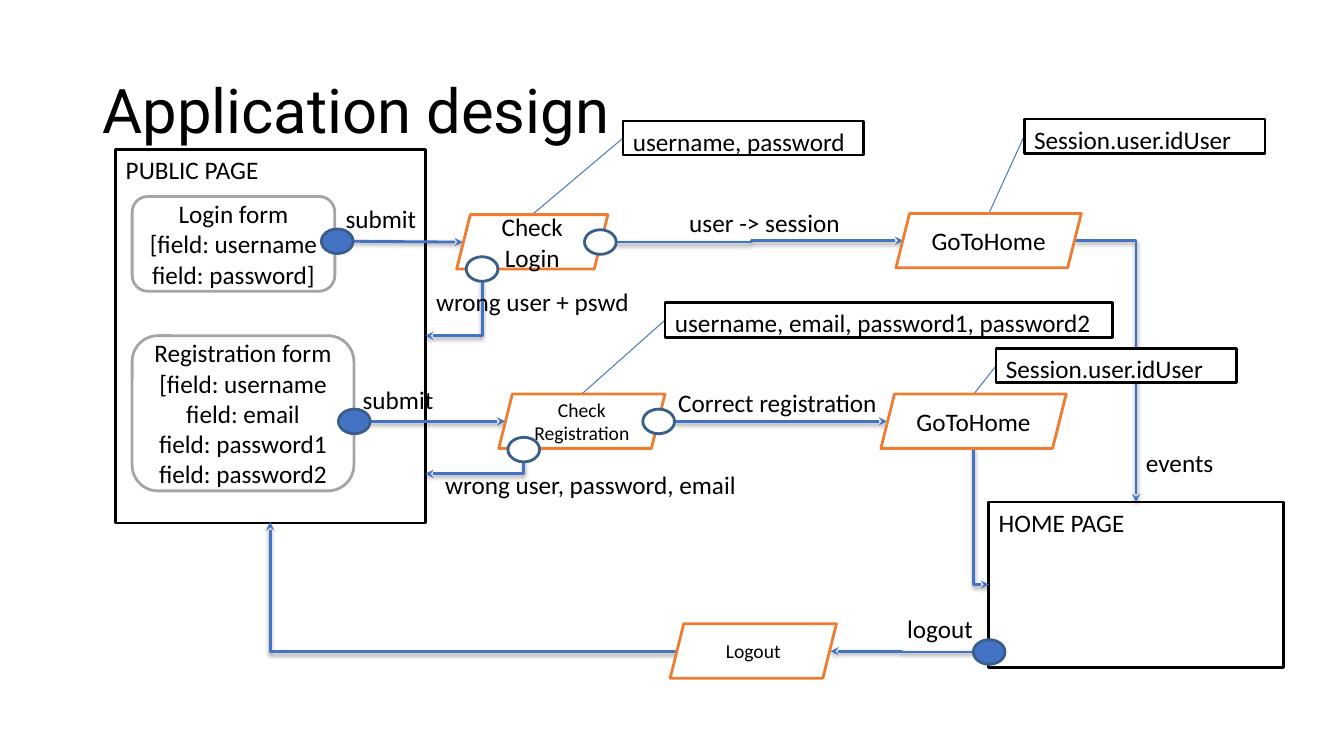
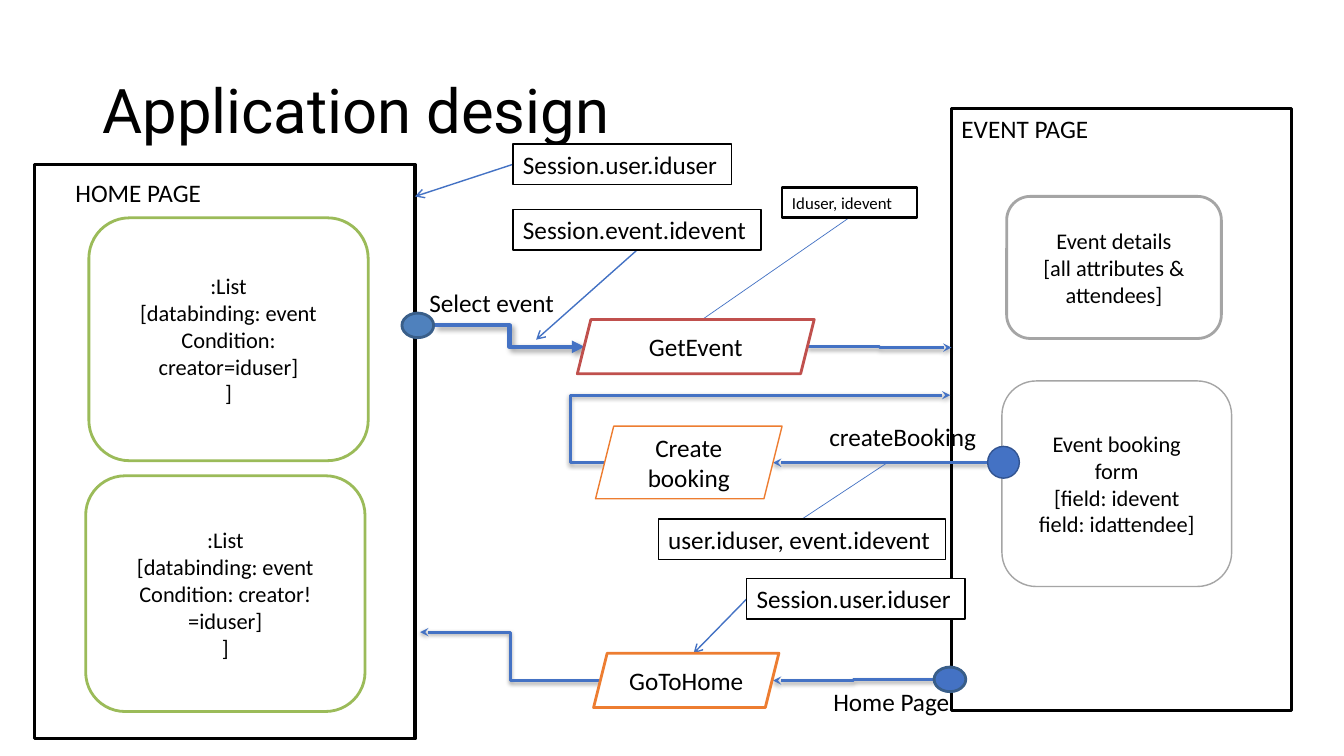
"""Build the two application design diagrams."""
from dataclasses import dataclass

from lxml import etree
from pptx import Presentation
from pptx.dml.color import RGBColor
from pptx.enum.shapes import MSO_CONNECTOR, MSO_SHAPE
from pptx.enum.text import MSO_ANCHOR, PP_ALIGN
from pptx.oxml.ns import qn
from pptx.util import Cm, Pt

RECT = MSO_SHAPE.RECTANGLE
ROUND = MSO_SHAPE.ROUNDED_RECTANGLE
SLANTED = MSO_SHAPE.PARALLELOGRAM
OVAL = MSO_SHAPE.OVAL
STRAIGHT = MSO_CONNECTOR.STRAIGHT
ELBOW = MSO_CONNECTOR.ELBOW
TOP = MSO_ANCHOR.TOP
MIDDLE = MSO_ANCHOR.MIDDLE
LEFT = PP_ALIGN.LEFT
CENTER = PP_ALIGN.CENTER


@dataclass(frozen=True)
class Theme:
    """Colours, fonts and type sizes of the deck."""
    ink: str = "000000"
    paper: str = "FFFFFF"
    blue: str = "4472C4"
    soft_blue: str = "4F81BD"
    pale_blue: str = "4A7DBA"
    port_edge: str = "395E89"
    dark_blue: str = "325491"
    orange: str = "ED7D31"
    red: str = "C0504D"
    green: str = "9BBB59"
    grey: str = "A5A5A5"
    title_font: str = "Roboto"
    body_font: str = "Calibri"
    title: int = 44
    body: int = 18
    card: int = 16
    small: int = 14
    tiny: int = 12
    flow_shadow: tuple = (38, 3.1, 1.6, 90)
    strong_shadow: tuple = (40, 4, 3, 45)


T = Theme()


def rgb(value):
    """Return a colour object for a hex value."""
    return RGBColor.from_string(value)


def write_text(tf, text, *, size=T.body, font=T.body_font, align=LEFT,
               anchor=TOP, spacing=None):
    """Fill a text frame with uniformly formatted text."""
    tf.word_wrap = True
    tf.vertical_anchor = anchor
    tf.text = text
    for p in tf.paragraphs:
        p.alignment = align
        if spacing:
            p.line_spacing = spacing
        for r in p.runs:
            r.font.size = Pt(size)
            r.font.name = font
            r.font.color.rgb = rgb(T.ink)


def text_box(s, text, at, **fmt):
    """Add a text box."""
    sp = s.shapes.add_textbox(*map(Cm, at))
    write_text(sp.text_frame, text, **fmt)


def box(s, kind, at, text="", *, fill=T.paper, line=T.ink, weight=2, **fmt):
    """Add an outlined preset shape."""
    sp = s.shapes.add_shape(kind, *map(Cm, at))
    sp.shadow.inherit = False
    if fill:
        sp.fill.solid()
        sp.fill.fore_color.rgb = rgb(fill)
    else:
        sp.fill.background()
    sp.line.color.rgb = rgb(line)
    sp.line.width = Pt(weight)
    if text:
        write_text(sp.text_frame, text, **fmt)


def card(s, text, at, *, line=T.grey, weight=2, size=T.card):
    """Add a rounded form or list inside a page."""
    box(s, ROUND, at, text, line=line, weight=weight, size=size,
        align=CENTER, anchor=MIDDLE)


def action(s, text, at, *, height=1.37, line=T.orange, weight=2, size=T.body):
    """Add a slanted action step."""
    box(s, SLANTED, (*at, height), text, line=line, weight=weight, size=size,
        align=CENTER, anchor=MIDDLE)


def port(s, x, y, *, height=0.62, width=0.8, **look):
    """Add an event port centred on a point."""
    look = {"fill": T.blue, "line": T.port_edge, **look}
    box(s, OVAL, (x - width / 2, y - height / 2, width, height), **look)


def label(s, text, x, y, width):
    """Add a flow label."""
    text_box(s, text, (x, y, width, 1))


def connect(s, kind, start, end, *, color=T.blue, weight=2, tail=None,
            shadow=None):
    """Add a connector with an optional arrowhead and shadow."""
    c = s.shapes.add_connector(kind, *map(Cm, (*start, *end)))
    c.line.color.rgb = rgb(color)
    c.line.width = Pt(weight)
    if tail:
        ln = c.line._get_or_add_ln()
        etree.SubElement(ln, qn("a:tailEnd"), type=tail)
    effects = etree.SubElement(c._element.spPr, qn("a:effectLst"))
    if shadow:
        alpha, blur, dist, angle = shadow
        outer = etree.SubElement(
            effects, qn("a:outerShdw"), blurRad=str(Pt(blur)),
            dist=str(Pt(dist)), dir=str(angle * 60000), rotWithShape="0")
        clr = etree.SubElement(outer, qn("a:srgbClr"), val=T.ink)
        etree.SubElement(clr, qn("a:alpha"), val=str(alpha * 1000))
    return c


def flow(s, start, end, *, kind=ELBOW, bend=0.5, weight=2, tail="stealth",
         shadow=T.flow_shadow):
    """Add a flow arrow, straight or bent midway."""
    c = connect(s, kind, start, end, weight=weight, tail=tail, shadow=shadow)
    if bend != 0.5:
        guides = c._element.spPr.find(qn("a:prstGeom")).get_or_add_avLst()
        etree.SubElement(guides, qn("a:gd"), name="adj1",
                         fmla=f"val {round(bend * 100000)}")


def corner(s, start, end, down_first=False):
    """Add a flow arrow with one right-angled turn."""
    (x1, y1), (x2, y2) = start, end
    if down_first:
        mx, my = (x1 + x2) / 2, (y1 + y2) / 2
        hx, hy = (y2 - y1) / 2, (x1 - x2) / 2
        start, end = (mx - hx, my - hy), (mx + hx, my + hy)
    c = connect(s, ELBOW, start, end, tail="stealth", shadow=T.flow_shadow)
    sp_pr = c._element.spPr
    sp_pr.find(qn("a:prstGeom")).set("prst", "bentConnector2")
    if down_first:
        sp_pr.find(qn("a:xfrm")).set("rot", "5400000")


def note(s, text, at, target, *, side="left", weight=1, size=T.body, **line):
    """Add a parameter note and the line from one side to its target."""
    x, y, w, h = at
    start = {"left": (x, y + h / 2), "top": (x + w / 2, y),
             "bottom": (x + w / 2, y + h)}[side]
    connect(s, STRAIGHT, start, target, **line)
    box(s, RECT, at, text, weight=weight, size=size)


def new_slide(prs):
    """Add a blank slide with the shared title."""
    s = prs.slides.add_slide(prs.slide_layouts[6])
    text_box(s, "Application design", (2.33, 1.01, 29.21, 3.68),
             size=T.title, font=T.title_font, anchor=MIDDLE, spacing=0.9)
    return s


def login_slide(prs):
    """Draw login, registration and logout."""
    s = new_slide(prs)
    box(s, RECT, (2.92, 3.76, 7.8, 9.42), "PUBLIC PAGE")
    box(s, RECT, (24.92, 12.65, 7.42, 4.17), "HOME PAGE")
    card(s, "Login form\v[field: username\nfield: password]",
         (3.33, 4.95, 5.11, 2.39), size=T.body)
    card(s, "Registration form\v[field: username\nfield: email\n"
         "field: password1\nfield: password2",
         (3.33, 8.46, 5.59, 3.91), size=T.body)

    flow(s, (8.9, 6.08), (11.66, 6.1), kind=STRAIGHT)
    flow(s, (15.13, 6.1), (22.76, 6.07))
    flow(s, (9.32, 10.62), (12.73, 10.62), kind=STRAIGHT)
    flow(s, (16.99, 10.62), (22.35, 10.62), kind=STRAIGHT)
    flow(s, (24.54, 16.43), (20.93, 16.41))
    corner(s, (27.1, 6.07), (28.63, 12.65))
    corner(s, (17.07, 16.41), (6.81, 13.16))
    corner(s, (12.15, 7.09), (10.72, 8.46), down_first=True)
    corner(s, (13.2, 11.63), (10.72, 11.94), down_first=True)
    corner(s, (24.54, 11.3), (24.92, 14.73), down_first=True)

    for text, at, target in (
            ("username, password", (15.7, 3.05, 6.07, 0.86), (13.41, 5.41)),
            ("Session.user.idUser", (25.81, 3, 6.07, 0.86), (24.92, 5.38)),
            ("username, email, password1, password2",
             (16.76, 7.62, 11.28, 0.89), (14.66, 9.93)),
            ("Session.user.idUser", (25.1, 8.79, 6.07, 0.86), (24.54, 9.93))):
        note(s, text, at, target, weight=2, color=T.pale_blue)
        s.shapes[-2].line.width = Pt(0.75)

    action(s, "Check\vLogin", (11.51, 5.41, 3.81))
    action(s, "GoToHome", (22.58, 5.38, 4.67))
    action(s, "Check\vRegistration", (12.57, 9.93, 4.19), size=T.small)
    action(s, "GoToHome", (22.2, 9.93, 4.67))
    action(s, "Logout", (16.89, 15.72, 4.19), size=T.small)

    for x, y in ((8.5, 6.08), (8.93, 10.62), (24.93, 16.43)):
        port(s, x, y)
    for x, y in ((15.13, 6.1), (12.15, 6.78), (13.2, 11.33), (16.6, 10.62)):
        port(s, x, y, fill=T.paper)

    for text, x, y, width in (
            ("submit", 8.46, 5, 2.4),
            ("wrong user + pswd", 10.74, 7.09, 6.91),
            ("user -> session", 17.12, 5.11, 4.4),
            ("events", 28.63, 11.15, 4.32),
            ("logout", 22.61, 15.34, 2.4),
            ("submit", 8.89, 9.55, 2.4),
            ("wrong user, password, email", 10.97, 11.71, 8.26),
            ("Correct registration", 16.84, 9.63, 8.26)):
        label(s, text, x, y, width)


def event_slide(prs):
    """Draw event selection, booking and the way home."""
    s = new_slide(prs)
    box(s, RECT, (0.86, 4.14, 9.6, 14.48), fill=None, weight=2.25)
    box(s, RECT, (23.98, 2.74, 8.56, 15.16), "EVENT PAGE")
    for test, at in (("=", (2.24, 5.49, 7.04, 6.12)),
                     ("!=", (2.16, 11.99, 7.04, 5.94))):
        card(s, f":List\n[databinding: event\nCondition: creator{test}iduser]"
             "\n]", at, line=T.green)
    card(s, "Event details\v[all attributes & attendees]",
         (25.37, 4.95, 5.41, 3.58))
    card(s, "Event booking\nform\v[field: idevent\nfield: idattendee]",
         (25.25, 9.6, 5.79, 5.18), weight=1)

    flow(s, (10.95, 8.2), (14.73, 8.74), weight=3, tail="triangle",
         shadow=T.strong_shadow)
    flow(s, (20.37, 8.74), (23.98, 8.76))
    flow(s, (24.89, 11.66), (19.48, 11.66), kind=STRAIGHT)
    flow(s, (15.24, 11.66), (23.95, 9.96), bend=-0.1)
    flow(s, (23.55, 17.12), (19.48, 17.15))
    flow(s, (15.14, 17.15), (10.59, 15.93))

    arrow = {"tail": "arrow"}
    for text, at, target, side, look in (
            ("Session.user.iduser", (12.93, 3.63, 5.5, 1.02),
             (10.46, 4.95), "left", arrow),
            ("Session.event.idevent", (12.93, 5.28, 6.25, 1.02),
             (13.51, 8.56), "bottom", arrow),
            ("Iduser, idevent", (19.71, 4.72, 3.4, 0.76),
             (17.7, 8.05), "bottom", {"weight": 2, "size": T.tiny}),
            ("user.iduser, event.idevent", (16.59, 13.08, 7.24, 1.02),
             (22.33, 11.68), "top", {}),
            ("Session.user.iduser", (18.82, 14.58, 5.5, 1.02),
             (17.48, 16.46), "left", arrow)):
        note(s, text, at, target, side=side, **look)
        s.shapes[-2].line.width = Pt(1 if look is arrow else 0.5)

    action(s, "GetEvent", (14.55, 8.05, 5.97), line=T.red)
    action(s, "Create booking", (15.01, 10.74, 4.7), height=1.83, weight=1)
    action(s, "GoToHome", (14.96, 16.46, 4.67))

    port(s, 10.53, 8.2, fill=T.soft_blue)
    port(s, 25.29, 11.65, height=0.8, line=T.dark_blue, weight=1)
    port(s, 23.94, 17.12)

    for text, x, y, width in (
            ("HOME PAGE", 1.65, 4.34, 3.8),
            ("Select event", 10.57, 7.11, 3.8),
            ("createBooking", 20.65, 10.49, 4.4),
            ("Home Page", 20.75, 17.17, 4.19)):
        label(s, text, x, y, width)


def main():
    """Build and save the presentation."""
    prs = Presentation()
    prs.slide_width, prs.slide_height = Cm(33.87), Cm(19.05)
    login_slide(prs)
    event_slide(prs)
    prs.save("out.pptx")


if __name__ == "__main__":
    main()
